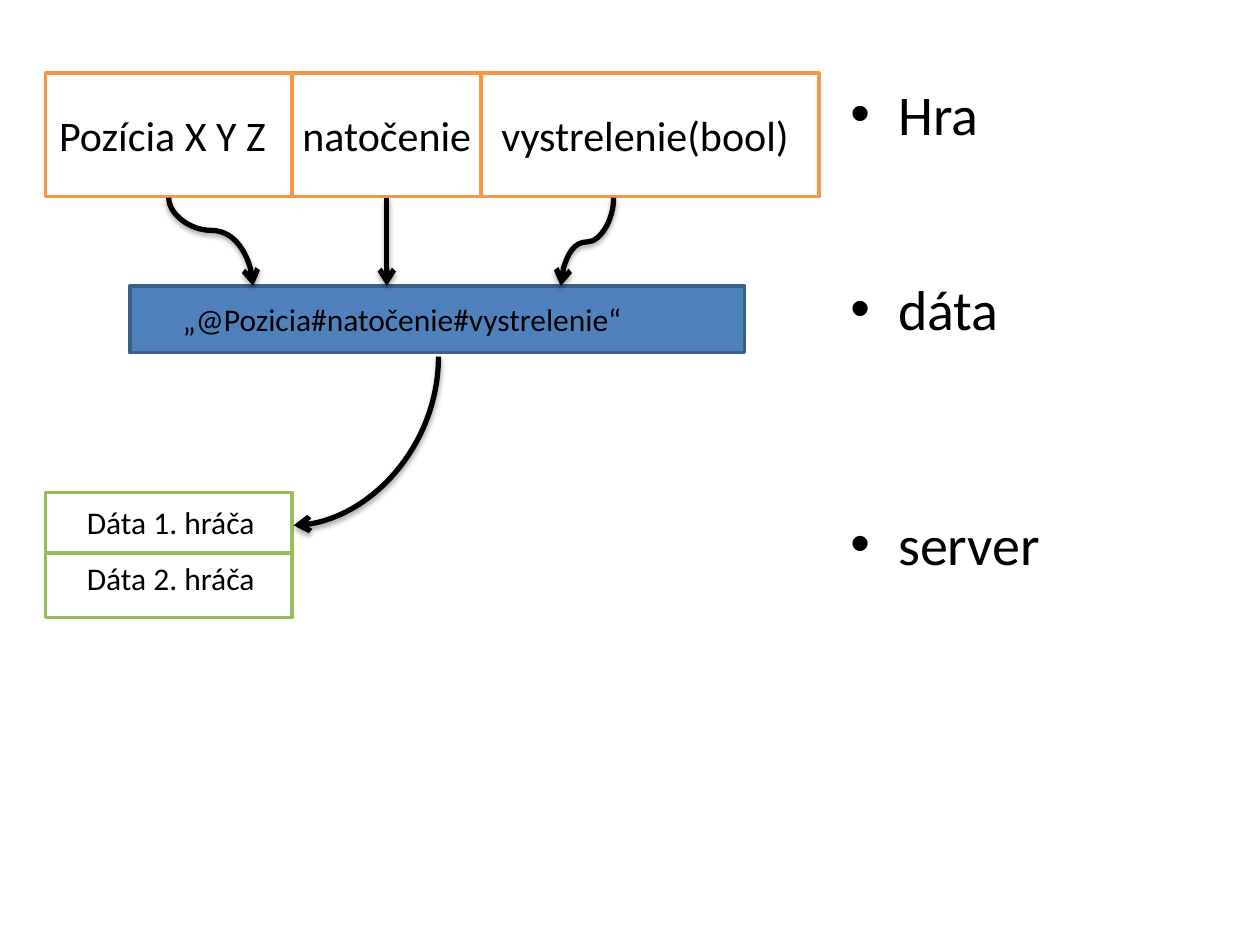
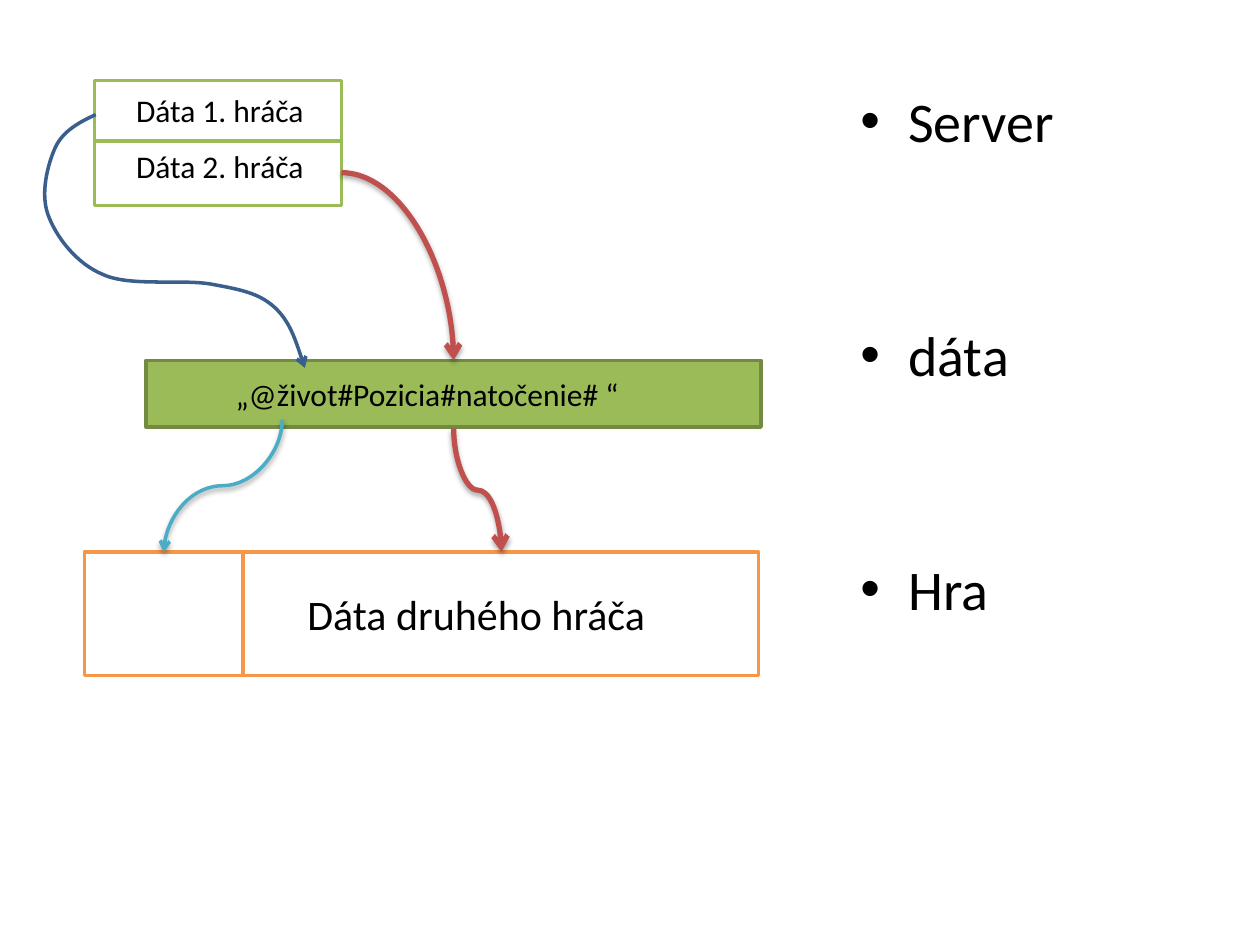
from dataclasses import dataclass

from lxml.etree import SubElement
from pptx import Presentation
from pptx.dml.color import RGBColor
from pptx.enum.shapes import MSO_CONNECTOR as Connector, MSO_SHAPE as Preset
from pptx.enum.text import MSO_ANCHOR as Anchor, PP_ALIGN as Align
from pptx.oxml.ns import qn
from pptx.util import Inches, Pt


@dataclass(frozen=True)
class Theme:
    """Colours, type and line sizes shared by the slides."""
    font: str = "Calibri"
    black: str = "000000"
    white: str = "FFFFFF"
    green: str = "9BBB59"
    dark_green: str = "738A42"
    orange: str = "F79646"
    blue: str = "4F81BD"
    dark_blue: str = "3A5F8C"
    red: str = "C0504D"
    cyan: str = "4BACC6"
    bullet_size: int = 32
    field_size: int = 24
    label_size: int = 18
    outline: int = 2
    arrow: int = 3


THEME = Theme()
FIELD_HEIGHT = 0.98
PLAYER_WIDTH = 1.96


def rgb(value):
    """Return a colour from its hexadecimal form."""
    return RGBColor.from_string(value)


def add_element(parent, tag, **attributes):
    """Append a drawing element and return it."""
    return SubElement(parent, qn(tag), {key: str(value) for key, value in attributes.items()})


def write_text(paragraph, text, *, size, color=THEME.black):
    """Fill a paragraph with left-aligned text in the shared font."""
    paragraph.text = text
    paragraph.alignment = Align.LEFT
    font = paragraph.font
    font.name, font.size = THEME.font, Pt(size)
    font.color.rgb = rgb(color)


def add_box(slide, left, top, width, height, *, line, fill=THEME.white, text="",
            size=THEME.label_size, indent=0.1, drop=None):
    """Add an outlined box, its text centred vertically or dropped from the top."""
    shape = slide.shapes.add_shape(Preset.RECTANGLE, Inches(left), Inches(top),
                                   Inches(width), Inches(height))
    shape.shadow.inherit = False
    shape.fill.solid()
    shape.fill.fore_color.rgb = rgb(fill)
    shape.line.color.rgb = rgb(line)
    shape.line.width = Pt(THEME.outline)
    if text:
        frame = shape.text_frame
        frame.word_wrap = True
        frame.margin_left, frame.margin_right = Inches(indent), 0
        frame.margin_top = Inches(drop or 0)
        frame.margin_bottom = 0
        frame.vertical_anchor = Anchor.MIDDLE if drop is None else Anchor.TOP
        write_text(frame.paragraphs[0], text, size=size)


def add_fields(slide, left, top, fields):
    """Add a row of adjoining game fields given as text, width and indent."""
    for text, width, indent in fields:
        add_box(slide, left, top, width, FIELD_HEIGHT, line=THEME.orange,
                text=text, size=THEME.field_size, indent=indent)
        left += width


def add_players(slide, left, top):
    """Add the server's stacked records of the two players."""
    for number, height, drop in ((1, 0.48, 0.08), (2, 0.51, 0.05)):
        add_box(slide, left, top, PLAYER_WIDTH, height, line=THEME.green,
                text=f"Dáta {number}. hráča", indent=0.33, drop=drop)
        top += height


def add_stages(slide, left, top, stages):
    """Add the bulleted stages given as text and space before in points."""
    box = slide.shapes.add_textbox(Inches(left), Inches(top), Inches(2.8), Inches(6))
    frame = box.text_frame
    frame.word_wrap = True
    for index, (text, gap) in enumerate(stages):
        paragraph = frame.add_paragraph() if index else frame.paragraphs[0]
        properties = paragraph._p.get_or_add_pPr()
        properties.set("marL", str(Inches(0.38)))
        properties.set("indent", str(Inches(-0.38)))
        paragraph.space_before = Pt(gap)
        add_element(properties, "a:buFont", typeface="Arial")
        add_element(properties, "a:buChar", char="•")
        write_text(paragraph, text, size=THEME.bullet_size)


def style_arrow(shape, *, color, width, shadow=True):
    """Set an arrow's line, head and shadow."""
    shape.line.color.rgb = rgb(color)
    shape.line.width = Pt(width)
    properties = shape._element.spPr
    add_element(properties.find(qn("a:ln")), "a:tailEnd", type="arrow")
    effects = properties.find(qn("a:effectLst"))
    if effects is None:
        effects = add_element(properties, "a:effectLst")
    if shadow:
        outer = add_element(effects, "a:outerShdw", blurRad=Pt(3.1), dist=Pt(1.8),
                            dir=5400000, rotWithShape=0)
        add_element(add_element(outer, "a:srgbClr", val=THEME.black), "a:alpha", val=35000)


def add_straight_arrow(slide, start, end):
    """Add a straight black arrow."""
    points = [Inches(value) for value in (*start, *end)]
    arrow = slide.shapes.add_connector(Connector.STRAIGHT, *points)
    style_arrow(arrow, color=THEME.black, width=THEME.arrow)


def add_curved_arrow(slide, start, end, *, color=THEME.black, width=THEME.arrow,
                     preset="curvedConnector3", bend=None, downward=True):
    """Add a curved arrow that leaves its start downward or to the right."""
    (x1, y1), (x2, y2) = start, end
    across, down = abs(x2 - x1), abs(y2 - y1)
    length, depth = (down, across) if downward else (across, down)
    left, top = (x1 + x2 - length) / 2, (y1 + y2 - depth) / 2
    arrow = slide.shapes.add_connector(Connector.CURVE, Inches(left), Inches(top),
                                       Inches(left + length), Inches(top + depth))
    properties = arrow._element.spPr
    if downward:
        frame = properties.find(qn("a:xfrm"))
        frame.set("rot", str((270 if x2 > x1 else 90) * 60000))
        if x2 > x1:
            frame.set("flipH", "1")
    geometry = properties.find(qn("a:prstGeom"))
    geometry.set("prst", preset)
    if bend is not None:
        add_element(geometry.find(qn("a:avLst")), "a:gd", name="adj1",
                    fmla=f"val {round(bend * 100000)}")
    style_arrow(arrow, color=color, width=width)


def add_winding_arrow(slide, start, curves, *, color):
    """Add an open arrow along cubic curves, each two handles and an end."""
    builder = slide.shapes.build_freeform(Inches(start[0]), Inches(start[1]))
    builder.add_line_segments([(Inches(x), Inches(y)) for *_, (x, y) in curves], close=False)
    arrow = builder.convert_to_shape()
    arrow.fill.background()
    segments = list(arrow._element.spPr.iter(qn("a:lnTo")))
    for segment, curve in zip(segments, curves):
        outline = segment.getparent()
        outline.remove(segment)
        bezier = add_element(outline, "a:cubicBezTo")
        for x, y in curve:
            add_element(bezier, "a:pt", x=Inches(x) - arrow.left, y=Inches(y) - arrow.top)
    arrow.shadow.inherit = False
    style_arrow(arrow, color=color, width=THEME.outline, shadow=False)


def build_sending(slide):
    """Show the game packing its data and sending it to the server."""
    add_stages(slide, 6.65, 0.58, [("Hra", 0), ("dáta", 73), ("server", 96.3)])
    add_fields(slide, 0.36, 0.58, [("Pozícia X Y Z", 1.96, 0.11), ("natočenie", 1.5, 0.08),
                                   ("vystrelenie(bool)", 2.68, 0.16)])
    add_box(slide, 1.03, 2.27, 4.88, 0.53, line=THEME.dark_blue, fill=THEME.blue,
            text="„@Pozicia#natočenie#vystrelenie“", indent=0.42)
    add_players(slide, 0.36, 3.91)
    add_curved_arrow(slide, (1.34, 1.57), (2.01, 2.27), bend=0.37)
    add_straight_arrow(slide, (3.07, 1.57), (3.07, 2.27))
    add_curved_arrow(slide, (4.87, 1.57), (4.45, 2.27))
    add_curved_arrow(slide, (3.48, 2.83), (2.33, 4.17), preset="curvedConnector2")


def build_receiving(slide):
    """Show the server returning the players' data to the game."""
    add_stages(slide, 6.73, 0.64, [("Server", 0), ("dáta", 95.3), ("Hra", 95.3)])
    add_players(slide, 0.75, 0.64)
    add_box(slide, 1.16, 2.86, 4.88, 0.53, line=THEME.dark_green, fill=THEME.green,
            text="„@život#Pozicia#natočenie# “", indent=0.71)
    add_fields(slide, 0.67, 4.38, [("", 1.26, 0), ("Dáta druhého hráča", 4.09, 0.51)])
    add_curved_arrow(slide, (2.71, 1.37), (3.6, 2.86), color=THEME.red,
                     preset="curvedConnector2", downward=False)
    add_curved_arrow(slide, (3.6, 3.4), (3.98, 4.38), color=THEME.red)
    add_winding_arrow(slide, (0.76, 0.91), [
        ((0.63, 0.97), (0.5, 1.04), (0.44, 1.17)),
        ((0.38, 1.3), (0.32, 1.53), (0.38, 1.7)),
        ((0.44, 1.87), (0.6, 2.09), (0.82, 2.18)),
        ((1.04, 2.28), (1.47, 2.21), (1.7, 2.26)),
        ((1.92, 2.3), (2.06, 2.33), (2.18, 2.44)),
        ((2.3, 2.55), (2.37, 2.77), (2.42, 2.92)),
    ], color=THEME.dark_blue)
    add_curved_arrow(slide, (2.24, 3.33), (1.3, 4.38), color=THEME.cyan, width=THEME.outline)


def main():
    """Build and save the presentation."""
    presentation = Presentation()
    presentation.slide_width, presentation.slide_height = Inches(10), Inches(7.5)
    blank = presentation.slide_layouts[6]
    for build in (build_sending, build_receiving):
        build(presentation.slides.add_slide(blank))
    presentation.save("out.pptx")


if __name__ == "__main__":
    main()
